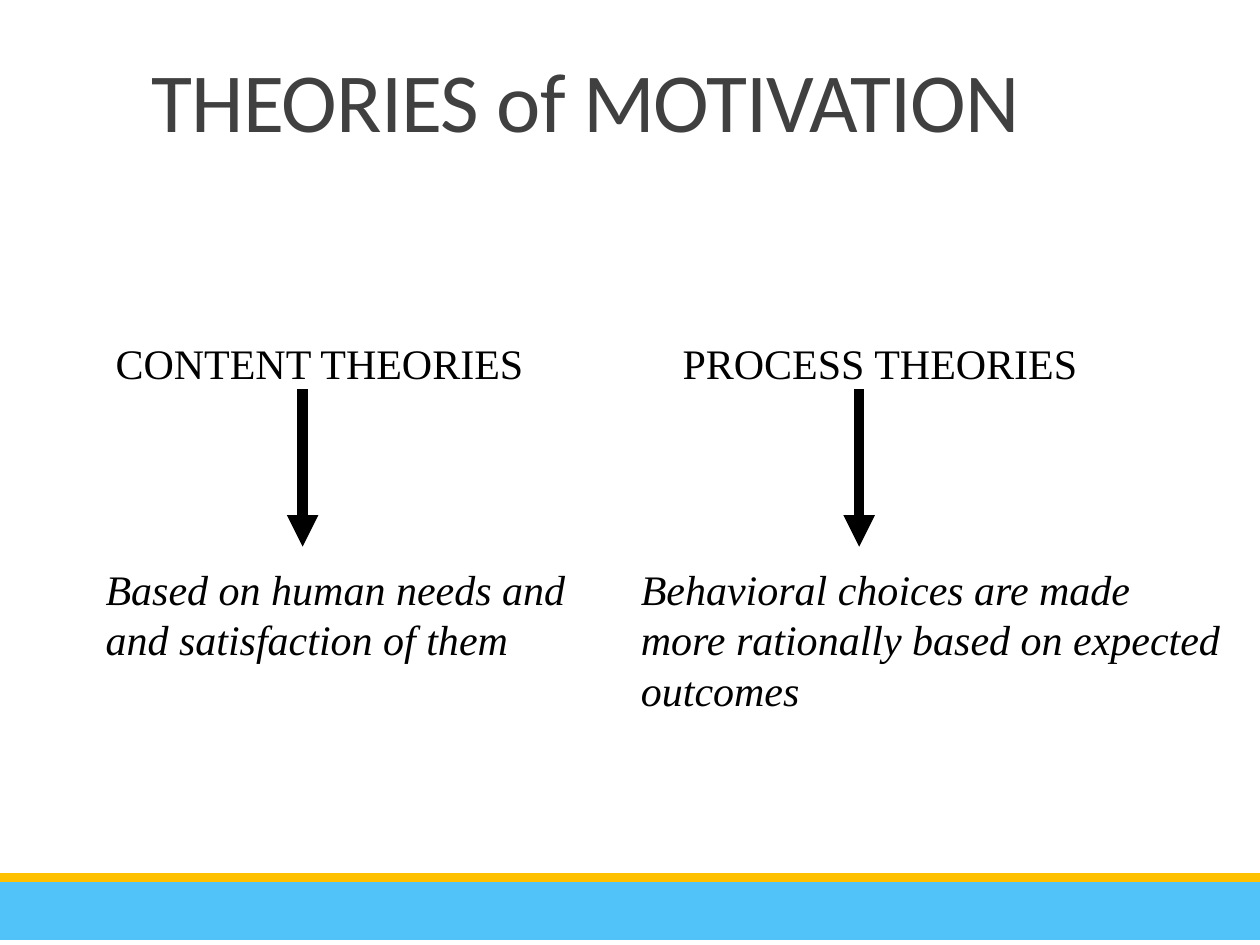
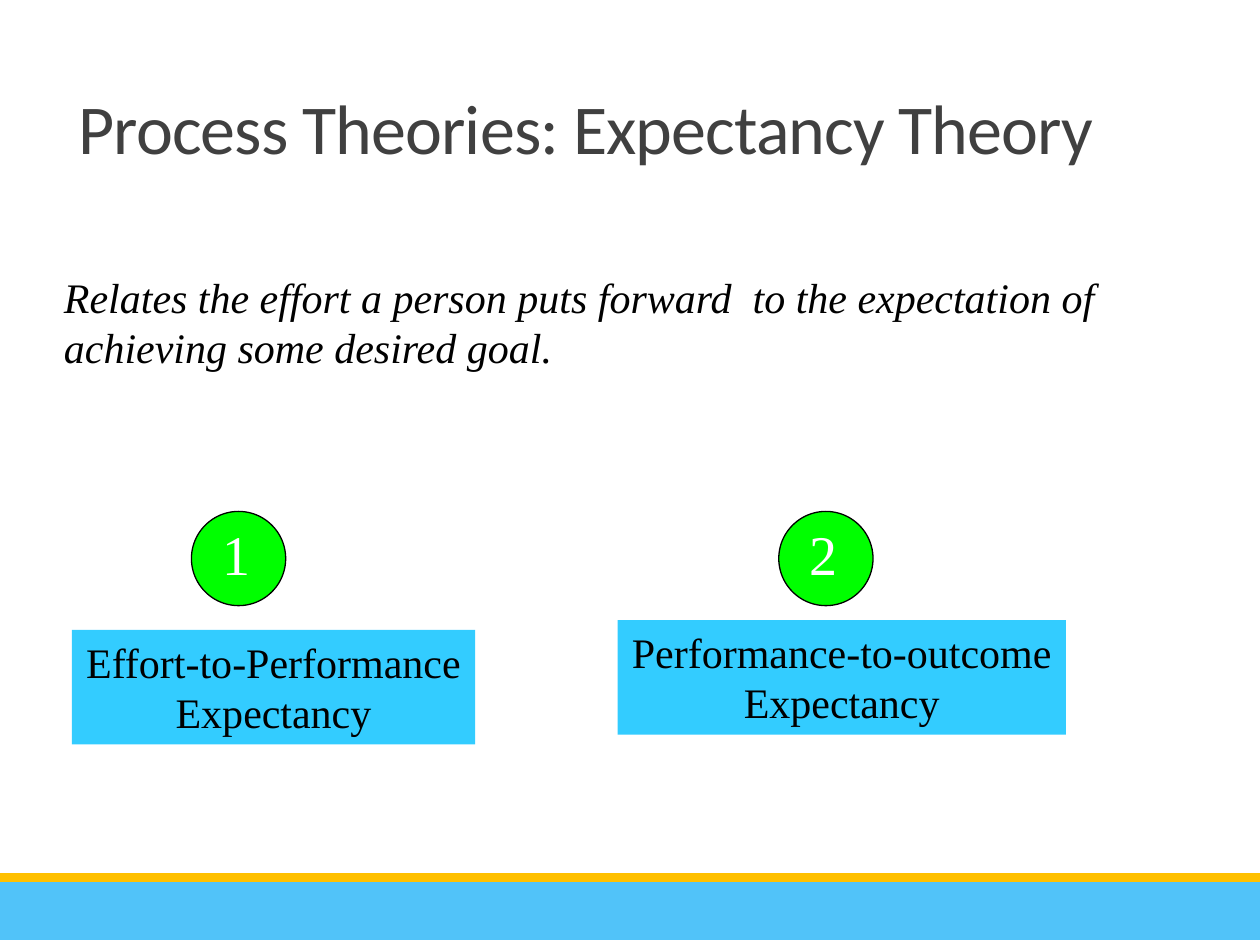
from lxml.etree import SubElement
from pptx import Presentation
from pptx.dml.color import RGBColor
from pptx.enum.shapes import MSO_CONNECTOR, MSO_SHAPE
from pptx.enum.text import MSO_ANCHOR as Anchor, MSO_AUTO_SIZE as AutoSize, PP_ALIGN as Align
from pptx.oxml.ns import qn
from pptx.util import Cm, Pt

# Shared style
BLACK = RGBColor(0x00, 0x00, 0x00)
WHITE = RGBColor(0xFF, 0xFF, 0xFF)
TITLE_GREY = RGBColor(0x40, 0x40, 0x40)
FOOTER_BLUE = RGBColor(0x51, 0xC3, 0xF9)
FOOTER_GOLD = RGBColor(0xFF, 0xC0, 0x00)
LABEL_BLUE = RGBColor(0x33, 0xCC, 0xFF)
BADGE_GREEN = RGBColor(0x00, 0xFF, 0x00)
TITLE_FONT, BODY_FONT = "Calibri", "Times New Roman"
PAGE_WIDTH, PAGE_HEIGHT = 25.4, 19.05

# Content: places are in centimetres
THEORIES_TITLE = dict(text="THEORIES of MOTIVATION", at=(0.38, 0.94, 22.86, 2.21), size=48)
THEORIES = [
    dict(name="CONTENT THEORIES", name_left=2.08, name_width=8.81, arrow_x=6.1,
         lines=["Based on human needs and", "and satisfaction of them"],
         lines_left=1.88, lines_width=9.78),
    dict(name="PROCESS THEORIES", name_left=13.51, name_width=8.56, arrow_x=17.32,
         lines=["Behavioral choices are made", "more rationally based on expected", "outcomes"],
         lines_left=12.67, lines_width=12.22),
]
NAME_TOP, ARROW_TOP, ARROW_BOTTOM, LINES_TOP = 6.68, 7.85, 11.02, 11.23

EXPECTANCY_TITLE = dict(text="Process Theories: Expectancy Theory", at=(0, 0.91, 23.62, 2.62), size=40)
DEFINITION = ("Relates the effort a person puts forward  to the expectation of "
              "achieving some desired goal.")
EXPECTANCIES = [
    dict(lines=["Effort-to-Performance", "Expectancy"], at=(1.45, 12.7, 8.13, 2.31), badge_left=3.86),
    dict(lines=["Performance-to-outcome", "Expectancy"], at=(12.45, 12.5, 9.04, 2.31), badge_left=15.7),
]
BADGE_TOP, BADGE_SIZE = 10.31, 1.9


def write(shape, lines, size=24, font=BODY_FONT, color=BLACK, italic=False,
          align=Align.LEFT, anchor=Anchor.TOP, wrap=False, spacing=None, tracking=None):
    frame = shape.text_frame
    frame.auto_size = AutoSize.NONE
    frame.word_wrap = wrap
    frame.vertical_anchor = anchor
    for index, line in enumerate(lines):
        para = frame.paragraphs[0] if index == 0 else frame.add_paragraph()
        para.alignment = align
        if spacing:
            para.line_spacing = spacing
        span = para.add_run()
        span.text = line
        span.font.size, span.font.name, span.font.italic = Pt(size), font, italic
        span.font.color.rgb = color
        if tracking:
            span.font._element.set("spc", str(int(tracking * 100)))


def add_text(page, at, lines, **style):
    write(page.shapes.add_textbox(*map(Cm, at)), lines, **style)


def add_block(page, kind, at, fill, outline=None):
    block = page.shapes.add_shape(kind, *map(Cm, at))
    block.shadow.inherit = False
    block.fill.solid()
    block.fill.fore_color.rgb = fill
    if outline is None:
        block.line.fill.background()
    else:
        block.line.color.rgb = outline
        block.line.width = Pt(0.75)
    return block


def add_down_arrow(page, x, top, bottom):
    arrow = page.shapes.add_connector(MSO_CONNECTOR.STRAIGHT, Cm(x), Cm(top), Cm(x), Cm(bottom))
    arrow.line.color.rgb = BLACK
    arrow.line.width = Pt(6)
    SubElement(arrow.line._get_or_add_ln(), qn("a:tailEnd"), type="triangle")
    SubElement(arrow._element.spPr, qn("a:effectLst"))


def add_page(deck, text, at, size):
    """Title-only page with the two footer bands."""
    page = deck.slides.add_slide(deck.slide_layouts[5])
    add_block(page, MSO_SHAPE.RECTANGLE, (0, 17.68, PAGE_WIDTH, 1.27), FOOTER_BLUE)
    add_block(page, MSO_SHAPE.RECTANGLE, (0, 17.6, PAGE_WIDTH, 0.18), FOOTER_GOLD)
    title = page.shapes.title
    title.left, title.top, title.width, title.height = map(Cm, at)
    write(title, [text], size=size, font=TITLE_FONT, color=TITLE_GREY, align=Align.CENTER,
          anchor=Anchor.BOTTOM, wrap=True, spacing=0.85, tracking=-0.5)
    return page


def build_theories(deck):
    page = add_page(deck, **THEORIES_TITLE)
    for theory in THEORIES:
        add_text(page, (theory["name_left"], NAME_TOP, theory["name_width"], 1.3), [theory["name"]])
        add_down_arrow(page, theory["arrow_x"], ARROW_TOP, ARROW_BOTTOM)
        lines = theory["lines"]
        height = 0.26 + 1.01 * len(lines)
        add_text(page, (theory["lines_left"], LINES_TOP, theory["lines_width"], height),
                 lines, italic=True)


def build_expectancy(deck):
    page = add_page(deck, **EXPECTANCY_TITLE)
    add_text(page, (1.04, 5.34, 24.36, 2.3), [DEFINITION], italic=True, wrap=True)
    for number, expectancy in enumerate(EXPECTANCIES, start=1):
        label = add_block(page, MSO_SHAPE.RECTANGLE, expectancy["at"], LABEL_BLUE)
        write(label, expectancy["lines"], align=Align.CENTER)
        badge = add_block(page, MSO_SHAPE.OVAL,
                          (expectancy["badge_left"], BADGE_TOP, BADGE_SIZE, BADGE_SIZE),
                          BADGE_GREEN, outline=BLACK)
        frame = badge.text_frame
        frame.margin_left = frame.margin_top = 0
        frame.margin_right, frame.margin_bottom = Cm(0.1), Cm(0.2)
        write(badge, [str(number)], size=32, color=WHITE, align=Align.CENTER, anchor=Anchor.MIDDLE)


def main():
    deck = Presentation()
    deck.slide_width, deck.slide_height = Cm(PAGE_WIDTH), Cm(PAGE_HEIGHT)
    build_theories(deck)
    build_expectancy(deck)
    deck.save("out.pptx")


if __name__ == "__main__":
    main()
